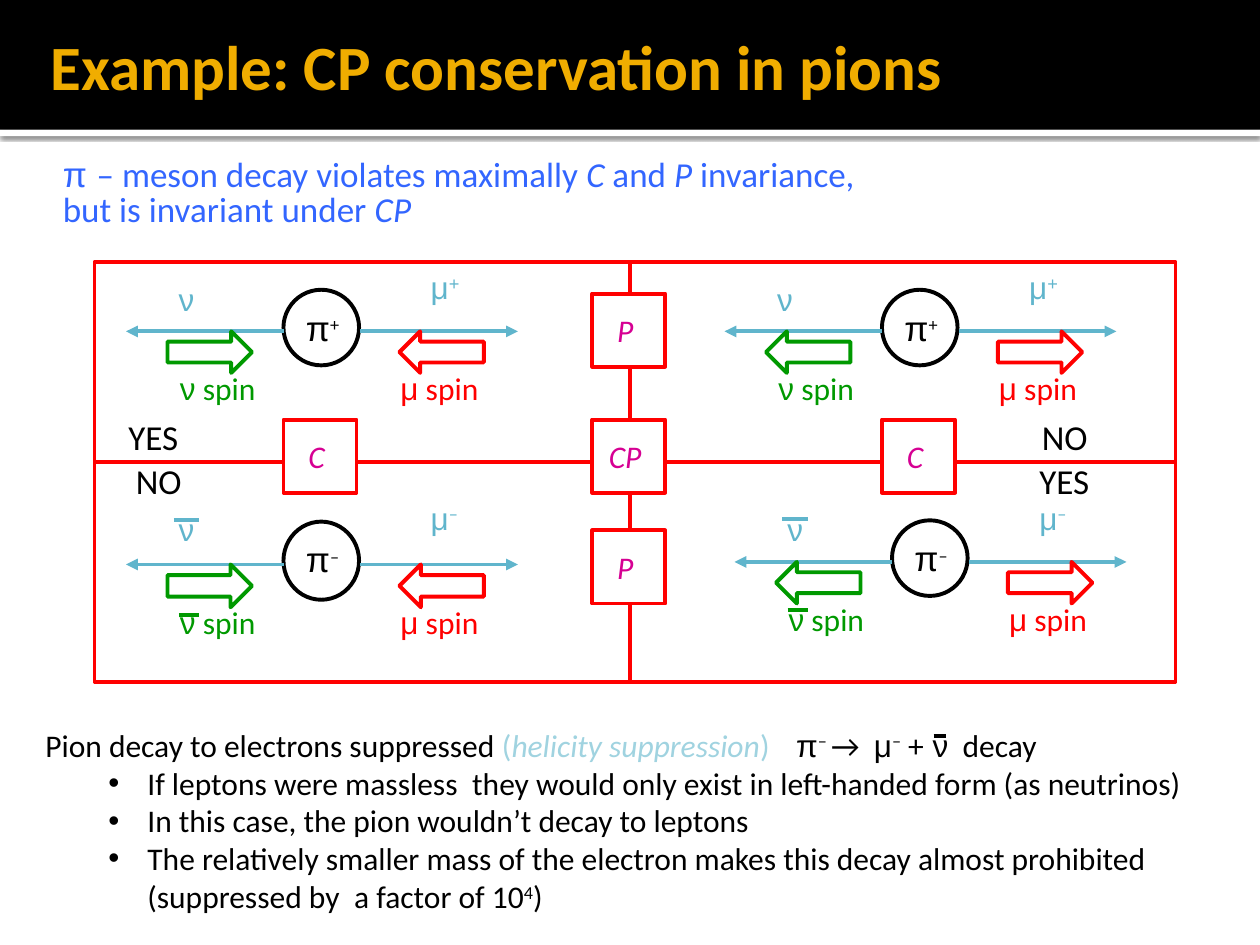
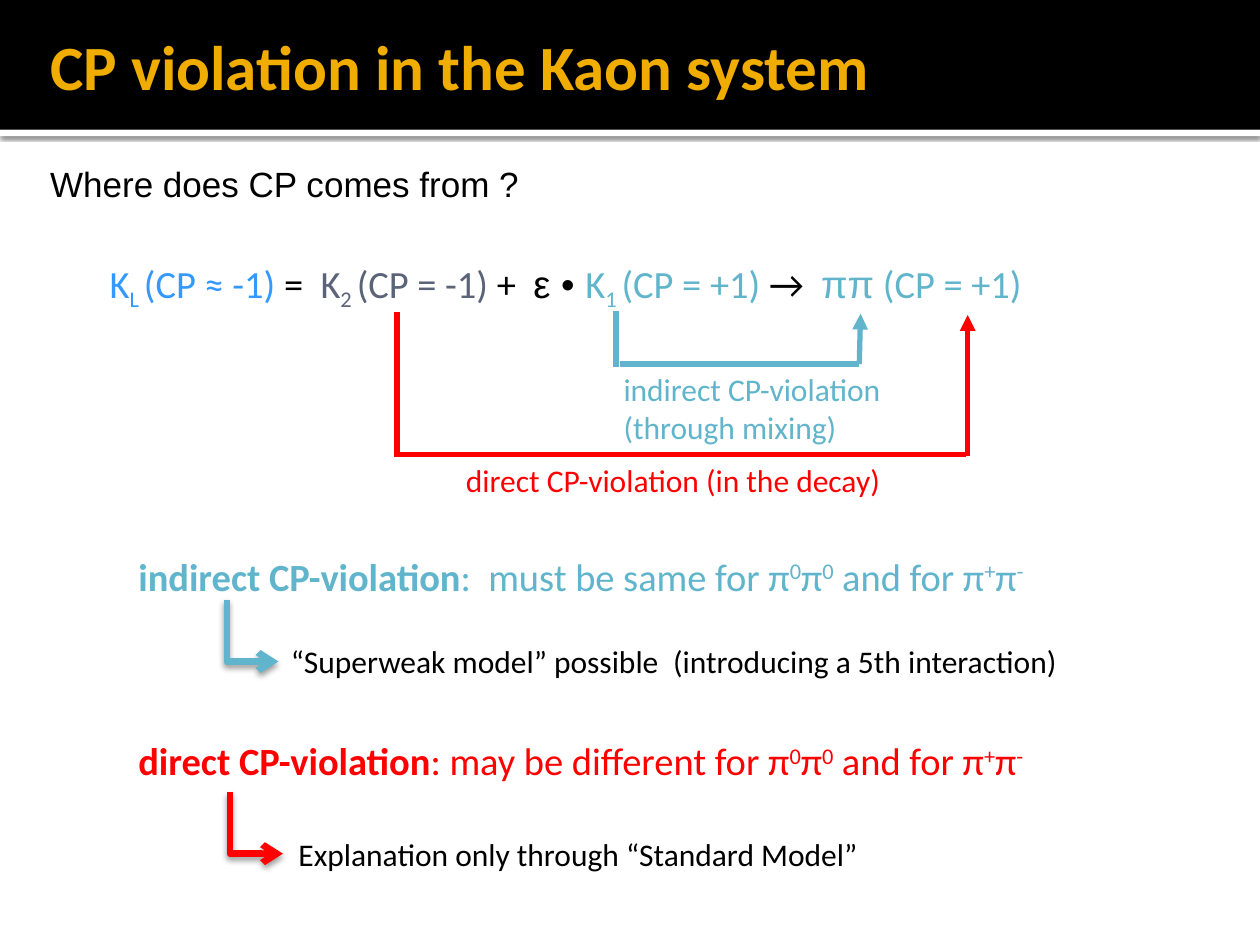
from dataclasses import dataclass
from typing import Optional

from lxml.etree import SubElement
from pptx import Presentation
from pptx.dml.color import RGBColor
from pptx.enum.shapes import MSO_CONNECTOR, MSO_SHAPE
from pptx.enum.text import MSO_ANCHOR, MSO_AUTO_SIZE, PP_ALIGN
from pptx.oxml.ns import qn
from pptx.slide import Slide
from pptx.util import Emu, Pt

EMU_PER_PX = 9144


@dataclass(frozen=True)
class Theme:
    black: str = "000000"
    white: str = "FFFFFF"
    gold: str = "F0AD00"
    red: str = "FF0000"
    green: str = "009900"
    teal: str = "60B5CC"
    pale_teal: str = "A0D3E0"
    blue: str = "3366FF"
    sky: str = "3399FF"
    slate: str = "5A6378"
    magenta: str = "D60093"
    sans: str = "Calibri"
    symbol: str = "Arial"
    title: int = 36
    formula: int = 22
    lead: int = 20
    label: int = 18
    thin: float = 2.25
    thick: float = 3
    elbow: float = 3.75


THEME = Theme()


@dataclass(frozen=True)
class Span:
    text: str
    color: str = THEME.black
    size: int = THEME.label
    font: str = THEME.sans
    bold: bool = False
    italic: bool = False
    baseline: int = 0
    tracking: int = 0


@dataclass(frozen=True)
class Para:
    spans: list[Span]
    bullet: bool = False
    space_before: int = 0
    line_spacing: Optional[float] = None
    align: PP_ALIGN = PP_ALIGN.LEFT


@dataclass(frozen=True)
class Area:
    left: int
    top: int
    width: int
    height: int

    def emu(self) -> tuple[Emu, ...]:
        return tuple(px(v) for v in (self.left, self.top, self.width, self.height))


@dataclass(frozen=True)
class Stroke:
    start: tuple[int, int]
    end: tuple[int, int]
    color: str
    width: float = THEME.thin
    arrow: str = ""


@dataclass(frozen=True)
class Decay:
    left: int
    top: int
    charge: str
    mirrored: bool
    stretch: float = 1.0


def px(length: int) -> Emu:
    return Emu(length * EMU_PER_PX)


def wide_space(size: int = THEME.label) -> Span:
    return Span(" ", size=size, tracking=round(size * 22.6))


def cast_shadow(effects, blur: float, distance: float, alpha: int) -> None:
    shadow = SubElement(effects, qn("a:outerShdw"), blurRad=str(Pt(blur)), dist=str(Pt(distance)),
                        dir="5400000", algn="t", rotWithShape="0")
    color = SubElement(shadow, qn("a:srgbClr"), val=THEME.black)
    SubElement(color, qn("a:alpha"), val=str(alpha * 1000))


def fill_text(frame, paras: list[Para]) -> None:
    frame.word_wrap = True
    frame.auto_size = MSO_AUTO_SIZE.NONE
    for index, para in enumerate(paras):
        paragraph = frame.paragraphs[0] if index == 0 else frame.add_paragraph()
        properties = paragraph._p.get_or_add_pPr()
        if para.bullet:
            paragraph.level = 1
            properties.set("marL", str(px(81)))
            properties.set("indent", str(px(-31)))
            SubElement(properties, qn("a:buFont"), typeface=THEME.symbol)
            SubElement(properties, qn("a:buChar"), char="•")
        else:
            properties.set("marL", "0")
            properties.set("indent", "0")
            SubElement(properties, qn("a:buNone"))
        paragraph.alignment = para.align
        paragraph.space_before = Pt(para.space_before)
        if para.line_spacing:
            paragraph.line_spacing = para.line_spacing
        for style in para.spans:
            span = paragraph.add_run()
            span.text = style.text
            span.font.name = style.font
            span.font.size = Pt(style.size)
            span.font.bold = style.bold
            span.font.italic = style.italic
            span.font.color.rgb = RGBColor.from_string(style.color)
            if style.baseline:
                span._r.get_or_add_rPr().set("baseline", str(style.baseline * 1000))
            if style.tracking:
                span._r.get_or_add_rPr().set("spc", str(style.tracking))


def add_text(page: Slide, area: Area, *paras: Para):
    box = page.shapes.add_textbox(*area.emu())
    fill_text(box.text_frame, list(paras))
    return box


def add_box(page: Slide, kind: MSO_SHAPE, area: Area, line: str = "", fill: str = THEME.white):
    box = page.shapes.add_shape(kind, *area.emu())
    box.shadow.inherit = False
    box.fill.solid()
    box.fill.fore_color.rgb = RGBColor.from_string(fill)
    if line:
        box.line.color.rgb = RGBColor.from_string(line)
        box.line.width = Pt(THEME.thin)
    else:
        box.line.fill.background()
    return box


def add_stroke(page: Slide, stroke: Stroke, kind: MSO_CONNECTOR = MSO_CONNECTOR.STRAIGHT):
    ends = [px(v) for v in (*stroke.start, *stroke.end)]
    connector = page.shapes.add_connector(kind, *ends)
    connector.line.color.rgb = RGBColor.from_string(stroke.color)
    connector.line.width = Pt(stroke.width)
    properties = connector.element.spPr
    if stroke.arrow:
        SubElement(properties.find(qn("a:ln")), qn("a:tailEnd"), type=stroke.arrow)
    SubElement(properties, qn("a:effectLst"))
    return connector


def add_elbow(page: Slide, start: tuple[int, int], end: tuple[int, int], color: str) -> None:
    drop, reach = end[1] - start[1], end[0] - start[0]
    left = (start[0] + end[0] - drop) // 2
    top = (start[1] + end[1] - reach) // 2
    stroke = Stroke((left + drop, top), (left, top + reach), color, THEME.elbow, "arrow")
    properties = add_stroke(page, stroke, MSO_CONNECTOR.ELBOW).element.spPr
    properties.find(qn("a:xfrm")).set("rot", str(270 * 60000))
    properties.find(qn("a:prstGeom")).set("prst", "bentConnector2")
    cast_shadow(properties.find(qn("a:effectLst")), 3.5, 2, 38)


def start_page(deck, layout: int, heading: str) -> Slide:
    page = deck.slides.add_slide(deck.slide_layouts[layout])
    strip = add_box(page, MSO_SHAPE.RECTANGLE, Area(0, 103, 1000, 5))
    cast_shadow(strip.element.spPr.find(qn("a:effectLst")), 2.5, 0.8, 60)
    add_box(page, MSO_SHAPE.RECTANGLE, Area(0, 0, 1000, 103), fill=THEME.black)
    title = page.shapes.title
    title.element.getparent().append(title.element)
    title.left, title.top, title.width, title.height = Area(30, 0, 948, 103).emu()
    frame = title.text_frame
    frame.vertical_anchor = MSO_ANCHOR.MIDDLE
    frame.margin_left = px(10)
    frame.margin_top = frame.margin_right = frame.margin_bottom = px(5)
    fill_text(frame, [Para([Span(heading, THEME.gold, THEME.title, bold=True)])])
    return page


def draw_decay(page: Slide, decay: Decay) -> None:
    def place(x: int, y: int, width: int, height: int) -> Area:
        return Area(decay.left + x, decay.top + round(y * decay.stretch),
                    width, round(height * decay.stretch))

    def level(start: int, end: int, y: int, color: str, arrow: str = "") -> None:
        height = decay.top + round(y * decay.stretch)
        add_stroke(page, Stroke((decay.left + start, height), (decay.left + end, height), color, arrow=arrow))

    charge_font = THEME.symbol if decay.charge == "+" else THEME.sans
    add_box(page, MSO_SHAPE.OVAL, place(0, 0, 60, 60), THEME.black)
    add_text(page, place(8, 8, 60, 43), Para([
        Span("π", size=THEME.lead, font=THEME.symbol), Span(decay.charge, baseline=30)]))
    level(0, -125, 33, THEME.teal, "triangle")
    level(61, 186, 33, THEME.teal, "triangle")
    add_text(page, place(-93, -13, 40, 50), Para([Span("ν", THEME.teal, font=THEME.symbol)]))
    add_text(page, place(107, -22, 60, 50), Para([
        Span("μ", THEME.teal, font=THEME.symbol),
        Span(decay.charge, THEME.teal, font=charge_font, baseline=30)]))
    arrows = (MSO_SHAPE.RIGHT_ARROW, MSO_SHAPE.LEFT_ARROW)
    if decay.mirrored:
        arrows = arrows[::-1]
    particles = (("ν", THEME.green, -92, -92), ("μ", THEME.red, 92, 83))
    for arrow, (particle, color, arrow_x, label_x) in zip(arrows, particles):
        add_box(page, arrow, place(arrow_x, 33, 67, 33), color)
        add_text(page, place(label_x, 58, 95, 40), Para([
            Span(particle, color, font=THEME.symbol), Span(" spin", color)]))
    if decay.charge == "–":
        level(-87, -67, -1, THEME.teal)
        level(-83, -67, 71, THEME.green)


def build_pion_page(deck) -> None:
    page = start_page(deck, 1, "Example: CP conservation in pions")
    add_box(page, MSO_SHAPE.RECTANGLE, Area(75, 208, 858, 333), THEME.red)
    for decay in (Decay(225, 230, "+", False), Decay(700, 230, "+", True),
                  Decay(225, 414, "–", False, 1.04), Decay(708, 413, "–", True)):
        draw_decay(page, decay)
    add_stroke(page, Stroke((75, 367), (933, 367), THEME.red))
    add_stroke(page, Stroke((500, 208), (500, 541), THEME.red))
    for name, left, top in (("P ", 470, 233), ("CP ", 470, 333), ("P ", 470, 421),
                            ("C ", 225, 333), ("C ", 700, 333)):
        box = add_box(page, MSO_SHAPE.RECTANGLE, Area(left, top, 58, 58), THEME.red)
        box.text_frame.vertical_anchor = MSO_ANCHOR.MIDDLE
        fill_text(box.text_frame, [Para([Span(name, THEME.magenta, italic=True)], align=PP_ALIGN.CENTER)])
    for answer, left, top in (("YES", 92, 325), ("NO", 817, 325), ("NO", 98, 360), ("YES", 815, 360)):
        add_text(page, Area(left, top, 74, 43), Para([Span(answer, size=THEME.lead)]))

    def lead(text: str, italic: bool = False, font: str = THEME.sans) -> Span:
        return Span(text, THEME.blue, THEME.lead, font, italic=italic)

    add_text(page, Area(40, 116, 880, 73),
             Para([lead("π ", font=THEME.symbol), lead("– meson decay violates maximally "),
                   lead("C", True), lead(" and "), lead("P", True), lead(" invariance,")]),
             Para([lead("but is invariant under "), lead("CP", True)], line_spacing=0.85))

    body = page.placeholders[1]
    body.left, body.top, body.width, body.height = Area(26, 571, 949, 162).emu()
    fill_text(body.text_frame, [
        Para([Span("Pion decay to electrons suppressed "), Span("(", THEME.pale_teal),
              Span("helicity suppression", THEME.pale_teal, italic=True), Span(")", THEME.pale_teal)]),
        Para([Span("If leptons were massless"), wide_space(),
              Span("they would only exist in left-handed form (as neutrinos)")], True),
        Para([Span("In this case, the pion wouldn’t decay to leptons")], True),
        Para([Span("The relatively smaller mass of the electron makes this decay almost prohibited "
                   "(suppressed by"), wide_space(), Span("a factor of 10"),
              Span("4", baseline=30), Span(")")], True)])
    add_text(page, Area(622, 571, 264, 40), Para([
        Span("π", font=THEME.symbol), Span("– ", baseline=30), Span("→"), wide_space(),
        Span("μ", font=THEME.symbol), Span("–", baseline=30), Span(" +"),
        Span(" ν", font=THEME.symbol), wide_space(), Span("decay")]))
    add_stroke(page, Stroke((741, 584), (751, 584), THEME.black))


def violation_para(name: str, gap: Span, claim: str, color: str, space_before: int = 0) -> Para:
    pieces = ((claim + " for π", 0), ("0", 30), ("π", 0), ("0", 30),
              (" and for π", 0), ("+", 30), ("π", 0), ("-", 30))
    spans = [Span(name, color, THEME.formula, bold=True), Span(":", color, THEME.formula), gap]
    spans += [Span(text, color, THEME.formula, baseline=shift) for text, shift in pieces]
    return Para(spans, space_before=space_before)


def build_kaon_page(deck) -> None:
    page = start_page(deck, 5, "CP violation in the Kaon system")
    gap = wide_space(THEME.formula)

    def term(text: str, color: str = THEME.black, baseline: int = 0, font: str = THEME.sans) -> Span:
        return Span(text, color, THEME.formula, font, baseline=baseline)

    formula = add_text(page, Area(68, 159, 849, 100), Para([
        term("K", THEME.sky), term("L ", THEME.sky, -25), term("(CP ≈ -1) ", THEME.sky), term("="), gap,
        term("K", THEME.slate), term("2 ", THEME.slate, -25), term("(CP = -1) ", THEME.slate), term("+"), gap,
        term("ε • ", font=THEME.symbol),
        term("K", THEME.teal), term("1 ", THEME.teal, -25), term("(CP = +1)", THEME.teal), term(" →"), gap,
        term("ππ", THEME.teal, font=THEME.symbol), term(" (CP = +1)", THEME.teal)]))
    formula.text_frame.margin_left = px(19)
    formula.text_frame.margin_top = px(47)

    for start, end, color, arrow in (
            ((492, 289), (682, 289), THEME.teal, ""), ((682, 289), (683, 249), THEME.teal, "triangle"),
            ((489, 291), (489, 247), THEME.teal, ""), ((315, 248), (315, 363), THEME.red, ""),
            ((313, 361), (767, 361), THEME.red, ""), ((768, 362), (768, 250), THEME.red, "triangle")):
        add_stroke(page, Stroke(start, end, color, THEME.thick, arrow))
    add_text(page, Area(485, 289, 235, 71), Para([Span("indirect CP-violation", THEME.teal)]),
             Para([Span("(through mixing)", THEME.teal)]))
    add_text(page, Area(360, 361, 364, 40), Para([Span("direct CP-violation (in the decay)", THEME.red)]))
    add_text(page, Area(100, 434, 784, 195),
             violation_para("indirect CP-violation", gap, "must be same", THEME.teal),
             violation_para("direct CP-violation", term(" "), "may be different", THEME.red, 79))
    add_text(page, Area(30, 124, 420, 44),
             Para([Span("Where does CP comes from ?", size=THEME.lead, font=THEME.symbol)]))
    add_text(page, Area(221, 505, 662, 40),
             Para([Span("“Superweak model” possible"), wide_space(), Span("(introducing a 5th interaction)")]))
    add_elbow(page, (180, 476), (221, 525), THEME.teal)
    add_elbow(page, (183, 629), (225, 678), THEME.red)
    add_text(page, Area(227, 658, 476, 40), Para([Span("Explanation only through “Standard Model”")]))


def main() -> None:
    deck = Presentation()
    deck.slide_width, deck.slide_height = px(1000), px(750)
    build_pion_page(deck)
    build_kaon_page(deck)
    deck.save("out.pptx")


if __name__ == "__main__":
    main()
